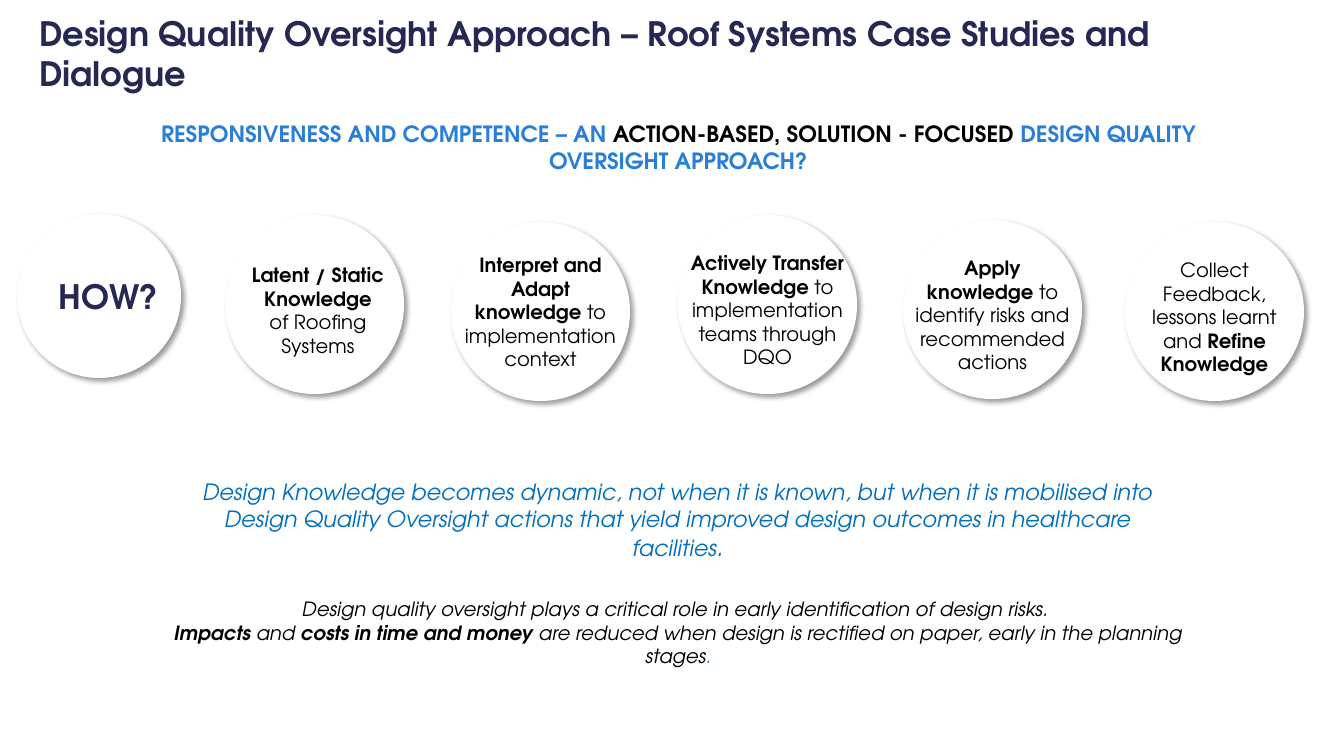
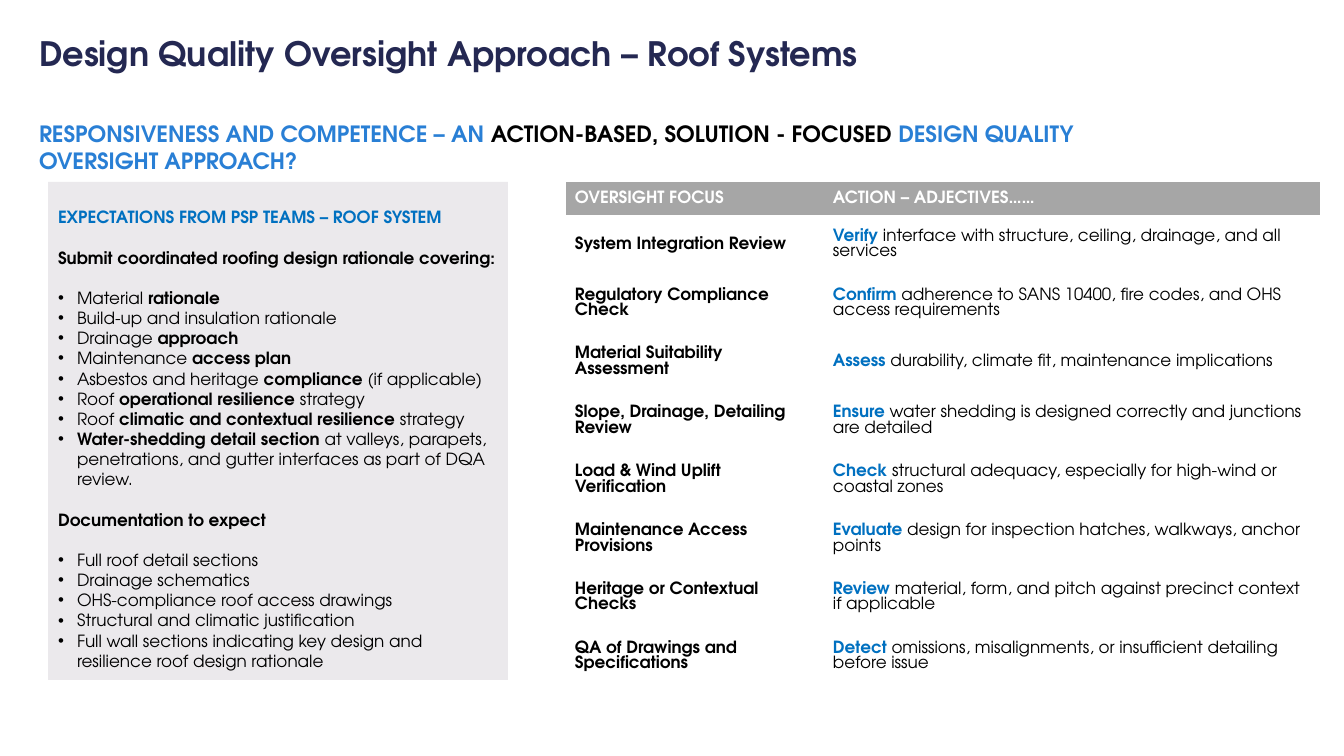
import pptx
import pptx.util
import pptx.dml.color
import pptx.enum.shapes
import pptx.enum.text
import pptx.oxml
import pptx.oxml.ns

RGBColor = pptx.dml.color.RGBColor
ALIGN = pptx.enum.text.PP_ALIGN
ANCHOR = pptx.enum.text.MSO_ANCHOR
SHAPE = pptx.enum.shapes.MSO_SHAPE

# Shared look
NAVY = RGBColor(0x24, 0x28, 0x52)
SKY = RGBColor(0x29, 0x7F, 0xD5)
BLUE = RGBColor(0x00, 0x70, 0xC0)
BLACK = RGBColor(0x00, 0x00, 0x00)
WHITE = RGBColor(0xFF, 0xFF, 0xFF)
GREY = RGBColor(0xA6, 0xA6, 0xA6)
PALE = RGBColor(0xEB, 0xE9, 0xEC)
FONT = "TeX Gyre Adventor"
PX = 12192000 / 1344
PLAIN_TABLE = "{2D5ABB26-0587-4C30-8999-92F81FD0307C}"
A_NS = pptx.oxml.ns.nsdecls("a")
SHADOW = (
    f'<a:effectLst {A_NS}><a:outerShdw blurRad="50800" dist="38100" dir="2700000" '
    'algn="tl" rotWithShape="0"><a:srgbClr val="000000"><a:alpha val="40000"/>'
    "</a:srgbClr></a:outerShdw></a:effectLst>"
)


def add_runs(para, text, size, colour=BLACK, accent=None, bold=False, italic=False):
    """Write text run by run; parts between asterisks are bold, in the accent colour."""
    for index, part in enumerate(text.split("*")):
        if not part:
            continue
        marked = index % 2 == 1
        span = para.add_run()
        span.text = part
        span.font.name = FONT
        span.font.size = pptx.util.Pt(size)
        span.font.bold = bold or marked
        span.font.italic = italic
        span.font.color.rgb = accent if marked and accent is not None else colour


def add_box(page, left, top, width, height, inset=(8, 8), align=ALIGN.CENTER):
    """Add a wrapping text box and return its frame."""
    bounds = [round(length * PX) for length in (left, top, width, height)]
    frame = page.shapes.add_textbox(*bounds).text_frame
    frame.word_wrap = True
    frame.margin_left = frame.margin_right = round(inset[0] * PX)
    frame.margin_top = frame.margin_bottom = round(inset[1] * PX)
    frame.paragraphs[0].alignment = align
    return frame


deck = pptx.Presentation()
deck.slide_width = round(1344 * PX)
deck.slide_height = round(756 * PX)

# Title and question on both slides
HEADS = [
    ("Design Quality Oversight Approach – Roof Systems Case Studies and Dialogue", 138, ALIGN.CENTER),
    ("Design Quality Oversight Approach – Roof Systems", 31, ALIGN.LEFT),
]
QUESTION = (
    "RESPONSIVENESS AND COMPETENCE – AN *ACTION-BASED, SOLUTION - FOCUSED *"
    "DESIGN QUALITY OVERSIGHT APPROACH?"
)
pages = []
for heading, question_left, question_align in HEADS:
    page = deck.slides.add_slide(deck.slide_layouts[5])
    title = page.shapes.title
    title.left, title.top = round(31 * PX), round(22 * PX)
    title.width, title.height = round(1264 * PX), round(62 * PX)
    frame = title.text_frame
    frame.word_wrap = True
    frame.auto_size = pptx.enum.text.MSO_AUTO_SIZE.NONE
    frame.vertical_anchor = ANCHOR.MIDDLE
    frame.margin_left = frame.margin_right = round(8 * PX)
    frame.margin_top = frame.margin_bottom = round(8 * PX)
    frame.paragraphs[0].alignment = ALIGN.LEFT
    add_runs(frame.paragraphs[0], heading, 24, NAVY, bold=True)
    frame = add_box(page, question_left, 112, 1081, 70, align=question_align)
    add_runs(frame.paragraphs[0], QUESTION, 16, SKY, accent=BLACK, bold=True)
    pages.append(page)
knowledge_page, expectations_page = pages

# Circles: left, top, diameter
CIRCLES = [
    (17, 214, 164), (225, 215, 179), (451, 222, 179),
    (678, 215, 179), (903, 220, 179), (1125, 222, 179),
]
for left, top, diameter in CIRCLES:
    circle = knowledge_page.shapes.add_shape(
        SHAPE.OVAL, round(left * PX), round(top * PX), round(diameter * PX), round(diameter * PX)
    )
    circle.fill.solid()
    circle.fill.fore_color.rgb = WHITE
    circle.line.fill.background()
    circle._element.spPr.append(pptx.oxml.parse_xml(SHADOW))

# Circle labels: left, top, width, paragraphs
frame = add_box(knowledge_page, 51, 265, 125, 62, align=ALIGN.LEFT)
frame.vertical_anchor = ANCHOR.MIDDLE
add_runs(frame.paragraphs[0], "HOW?", 24, NAVY, bold=True)

STEPS = [
    (237, 258, 162, ["*Latent / Static Knowledge*", "of Roofing Systems"]),
    (451, 248, 179, ["*Interpret and Adapt knowledge *to implementation context"]),
    (678, 246, 179, ["*Actively Transfer Knowledge* to implementation teams through DQO"]),
    (903, 251, 179, ["*Apply knowledge *to identify risks and recommended actions"]),
    (1125, 253, 179, ["Collect Feedback, lessons learnt and *Refine Knowledge*"]),
]
for left, top, width, lines in STEPS:
    frame = add_box(knowledge_page, left, top, width, 150, inset=(10, 5))
    for index, line in enumerate(lines):
        para = frame.add_paragraph() if index else frame.paragraphs[0]
        para.alignment = ALIGN.CENTER
        add_runs(para, line, 14)

# Closing statements
frame = add_box(knowledge_page, 166, 473, 1024, 95, inset=(10, 5))
para = frame.paragraphs[0]
add_runs(
    para,
    "Design Knowledge becomes dynamic, not when it is known, but when it is mobilised into "
    "Design Quality Oversight actions that yield improved design outcomes in healthcare facilities",
    16, BLUE, italic=True,
)
add_runs(para, ".", 18, BLUE, italic=True)

frame = add_box(knowledge_page, 138, 589, 1081, 100)
add_runs(
    frame.paragraphs[0],
    "Design quality oversight plays a critical role in early identification of design risks. ",
    14, italic=True,
)
para = frame.add_paragraph()
para.alignment = ALIGN.CENTER
add_runs(
    para,
    "*Impacts* and *costs in time and money *are reduced when design is rectified on paper, "
    "early in the planning stages",
    14, italic=True,
)
add_runs(para, ".", 14, SKY, italic=True)

# Oversight table
ROWS = [
    ("OVERSIGHT FOCUS", "ACTION – ADJECTIVES……"),
    ("System Integration Review",
     "*Verify* interface with structure, ceiling, drainage, and all services"),
    ("Regulatory Compliance Check",
     "*Confirm* adherence to SANS 10400, fire codes, and OHS access requirements"),
    ("Material Suitability Assessment",
     "*Assess* durability, climate fit, maintenance implications"),
    ("Slope, Drainage, Detailing Review",
     "*Ensure* water shedding is designed correctly and junctions are detailed"),
    ("Load & Wind Uplift Verification",
     "*Check* structural adequacy, especially for high-wind or coastal zones"),
    ("Maintenance Access Provisions",
     "*Evaluate* design for inspection hatches, walkways, anchor points"),
    ("Heritage or Contextual Checks",
     "*Review* material, form, and pitch against precinct context if applicable"),
    ("QA of Drawings and Specifications",
     "*Detect* omissions, misalignments, or insufficient detailing before issue"),
]
TABLE_HEIGHT, HEADER_HEIGHT = 504, 33
row_height = (TABLE_HEIGHT - HEADER_HEIGHT) / (len(ROWS) - 1)
table = expectations_page.shapes.add_table(
    len(ROWS), 2, round(566 * PX), round(182 * PX), round(754 * PX), round(TABLE_HEIGHT * PX)
).table
table.horz_banding = False
table._tbl.tblPr.find(pptx.oxml.ns.qn("a:tableStyleId")).text = PLAIN_TABLE
for column, width in zip(table.columns, (258, 496)):
    column.width = round(width * PX)
for row_index, texts in enumerate(ROWS):
    header = row_index == 0
    table.rows[row_index].height = round((HEADER_HEIGHT if header else row_height) * PX)
    for column_index, text in enumerate(texts):
        cell = table.cell(row_index, column_index)
        cell.vertical_anchor = ANCHOR.MIDDLE
        cell.margin_left = cell.margin_right = round(9 * PX)
        cell.margin_top = cell.margin_bottom = round(4 * PX)
        para = cell.text_frame.paragraphs[0]
        if header:
            cell.fill.solid()
            cell.fill.fore_color.rgb = GREY
            add_runs(para, text, 12, WHITE, bold=True)
        else:
            cell.fill.background()
            add_runs(para, text, 12, accent=BLUE, bold=column_index == 0)

# Expectations panel
panel = expectations_page.shapes.add_shape(
    SHAPE.RECTANGLE, round(48 * PX), round(182 * PX), round(460 * PX), round(498 * PX)
)
panel.shadow.inherit = False
panel.fill.solid()
panel.fill.fore_color.rgb = PALE
panel.line.fill.background()
frame = panel.text_frame
frame.word_wrap = True
frame.vertical_anchor = ANCHOR.TOP
frame.margin_left = frame.margin_right = round(10 * PX)
frame.margin_top, frame.margin_bottom = round(25 * PX), round(5 * PX)

SECTIONS = [
    ("EXPECTATIONS FROM PSP TEAMS – ROOF SYSTEM", BLUE, []),
    ("Submit coordinated roofing design rationale covering:", BLACK, [
        "Material *rationale*",
        "Build-up and insulation rationale",
        "Drainage *approach*",
        "Maintenance *access plan*",
        "Asbestos and heritage *compliance* (if applicable)",
        "Roof *operational resilience *strategy",
        "Roof *climatic and contextual resilience *strategy",
        "*Water-shedding detail section *at valleys, parapets, penetrations, "
        "and gutter interfaces as part of DQA review.",
    ]),
    ("Documentation to expect", BLACK, [
        "Full roof detail sections",
        "Drainage schematics",
        "OHS-compliance roof access drawings",
        "Structural and climatic justification",
        "Full wall sections indicating key design and resilience roof design rationale",
    ]),
]
GAP = pptx.util.Pt(14.4)
for section_index, (heading, colour, items) in enumerate(SECTIONS):
    para = frame.add_paragraph() if section_index else frame.paragraphs[0]
    para.alignment = ALIGN.LEFT
    if section_index:
        para.space_before = GAP
    add_runs(para, heading, 12, colour, bold=True)
    for item_index, item in enumerate(items):
        para = frame.add_paragraph()
        para.alignment = ALIGN.LEFT
        if item_index == 0:
            para.space_before = GAP
        properties = para._p.get_or_add_pPr()
        properties.set("marL", str(round(19 * PX)))
        properties.set("indent", str(round(-19 * PX)))
        properties.append(pptx.oxml.parse_xml(f'<a:buFont {A_NS} typeface="Arial"/>'))
        properties.append(pptx.oxml.parse_xml(f'<a:buChar {A_NS} char="•"/>'))
        add_runs(para, item, 12)

deck.save("out.pptx")
